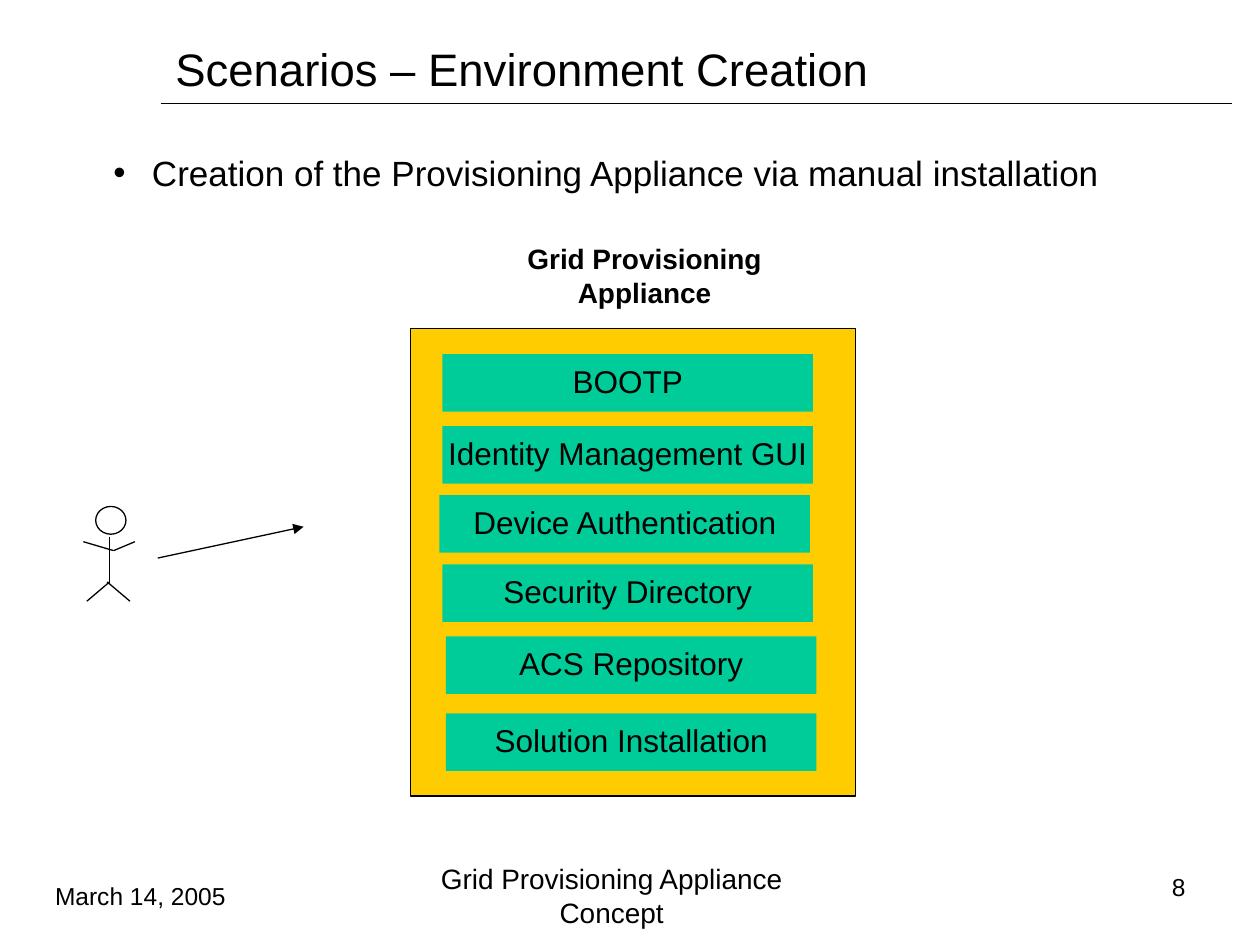
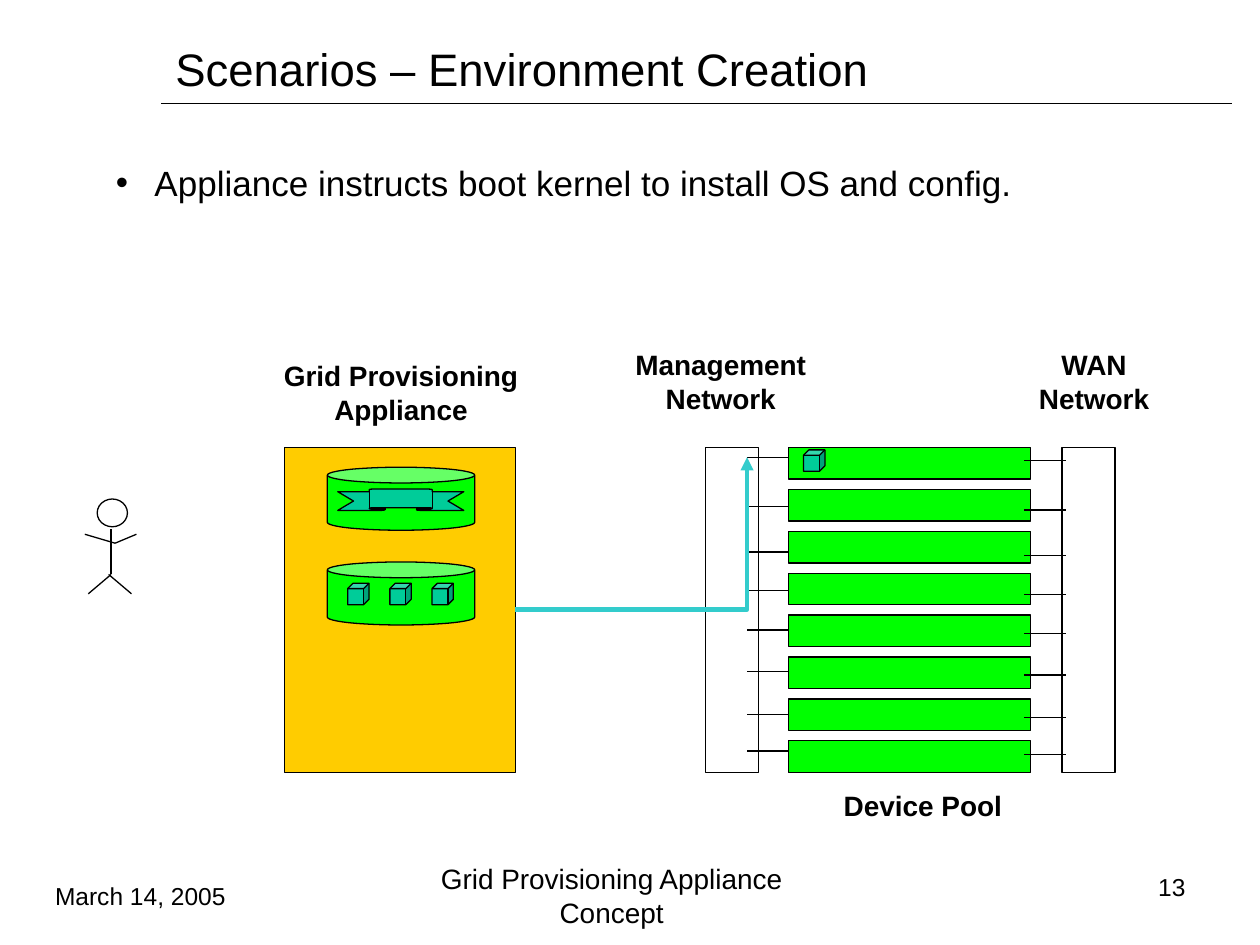
from dataclasses import dataclass

from lxml.etree import SubElement
from pptx import Presentation
from pptx.dml.color import RGBColor
from pptx.enum.shapes import MSO_CONNECTOR, MSO_SHAPE
from pptx.enum.text import MSO_ANCHOR, MSO_AUTO_SIZE, PP_ALIGN
from pptx.oxml.ns import qn
from pptx.util import Cm, Pt

TITLE = "Scenarios – Environment Creation"
DATE = "March 14, 2005"
FOOTER = "Grid Provisioning Appliance Concept"
OWNER = "Grid Provisioning Appliance"

MANUAL = {
    "point": "Creation of the Provisioning Appliance via manual installation",
    "place": (2.03, 2.92),
    "number": "8",
    "person": (1.93, 10.21),
    "labels": [(OWNER, (10.24, 4.75, 5.51, 1.63))],
    "box": (8.28, 6.63, 8.97, 9.42),
    "arrow": ((3.18, 11.25), (6.12, 10.62)),
    "tiles": [
        ("BOOTP", 8.92, 7.14),
        ("Identity Management GUI", 8.92, 8.59),
        ("Device Authentication", 8.86, 9.98),
        ("Security Directory", 8.92, 11.38),
        ("ACS Repository", 8.99, 12.83),
        ("Solution Installation", 8.99, 14.38),
    ],
}

INSTALL = {
    "point": "Appliance instructs boot kernel to install OS and config.",
    "place": (2.08, 3.12),
    "number": "13",
    "person": (1.96, 10.06),
    "labels": [
        (OWNER, (5.33, 7.11, 5.51, 1.63)),
        ("Management Network", (12.09, 6.88, 4.88, 1.63)),
        ("WAN Network", (20.57, 6.88, 2.97, 1.63)),
        ("Device Pool", (16.7, 15.77, 3.81, 0.94)),
    ],
    "box": (5.74, 9.02, 4.65, 6.55),
    "nets": [(14.22, 9.02, 1.07, 6.55), (21.41, 9.02, 1.07, 6.55)],
    "cans": [(6.6, 9.42, 2.97, 1.27), (6.6, 11.33, 2.97, 1.27)],
    "ribbon": (6.81, 9.86, 2.54, 0.43),
    "links": [9.22, 10.21, 11.13, 11.91, 12.7, 13.54, 14.4, 15.14],
    "target": (15.06, 9.22),
}

LIMBS = [
    ((0.28, 0.61), (0.28, 1.52)),
    ((0.36, 0.89), (0.79, 0.71)),
    ((0.36, 0.89), (-0.25, 0.71)),
    ((0.28, 1.52), (-0.18, 1.91)),
    ((0.23, 1.52), (0.69, 1.91)),
]


@dataclass(frozen=True)
class Theme:
    font: str = "Arial"
    ink: str = "000000"
    gold: str = "FFCC00"
    teal: str = "00CC99"
    green: str = "00FF00"
    cyan: str = "33CCCC"
    head: int = 26
    body: int = 20
    tile: int = 18
    label: int = 16
    small: int = 14
    thin: float = 0.75
    thick: float = 2.5


THEME = Theme()


def color(code):
    return RGBColor.from_string(code)


def write(shape, text, size, align=PP_ALIGN.LEFT, bold=False,
          anchor=MSO_ANCHOR.MIDDLE, wrap=True):
    frame = shape.text_frame
    frame.text = text
    frame.word_wrap = wrap
    frame.auto_size = MSO_AUTO_SIZE.NONE
    frame.vertical_anchor = anchor
    line = frame.paragraphs[0]
    line.alignment = align
    line.space_before = Pt(0)
    for run in line.runs:
        run.font.name = THEME.font
        run.font.size = Pt(size)
        run.font.bold = bold
        run.font.color.rgb = color(THEME.ink)
    return line


def place(shape, spot):
    shape.left, shape.top, shape.width, shape.height = map(Cm, spot)


def note(slide, text, spot, size, **style):
    write(slide.shapes.add_textbox(*map(Cm, spot)), text, size, **style)


def draw(shapes, kind, spot, fill=None, edge=True):
    shape = shapes.add_shape(kind, *map(Cm, spot))
    shape.shadow.inherit = False
    if fill:
        shape.fill.solid()
        shape.fill.fore_color.rgb = color(fill)
    else:
        shape.fill.background()
    if edge:
        shape.line.color.rgb = color(THEME.ink)
        shape.line.width = Pt(THEME.thin)
    else:
        shape.line.fill.background()
    return shape


def join(shapes, start, end, kind=MSO_CONNECTOR.STRAIGHT, ink=THEME.ink,
         width=THEME.thin, arrow=False):
    link = shapes.add_connector(kind, *map(Cm, (*start, *end)))
    link.line.color.rgb = color(ink)
    link.line.width = Pt(width)
    props = link._element.spPr
    if arrow:
        SubElement(props.find(qn("a:ln")), qn("a:tailEnd"), type="triangle")
    SubElement(props, qn("a:effectLst"))
    return link


def person(slide, spot):
    left, top = spot
    shapes = slide.shapes.add_group_shape().shapes
    draw(shapes, MSO_SHAPE.OVAL, (left, top, 0.61, 0.56))
    for (ax, ay), (bx, by) in LIMBS:
        join(shapes, (left + ax, top + ay), (left + bx, top + by))


def bullet(slide, text, spot):
    body = slide.placeholders[1]
    place(body, (*spot, 22.43, 1.12))
    line = write(body, text, THEME.body, anchor=MSO_ANCHOR.TOP)
    props = line._p.get_or_add_pPr()
    props.set("marL", str(Cm(0.78)))
    props.set("indent", str(-Cm(0.78)))
    SubElement(props, qn("a:buChar"), char="•")


def start(deck, data):
    slide = deck.slides.add_slide(deck.slide_layouts[1])
    place(slide.shapes.title, (3.28, 0.84, 21.59, 1.07))
    write(slide.shapes.title, TITLE, THEME.head)
    join(slide.shapes, (3.25, 2.08), (24.84, 2.08))
    bullet(slide, data["point"], data["place"])
    person(slide, data["person"])
    for text, spot in data["labels"]:
        note(slide, text, spot, THEME.label, align=PP_ALIGN.CENTER, bold=True,
             anchor=MSO_ANCHOR.TOP)
    note(slide, DATE, (0.86, 17.58, 4.47, 0.94), THEME.small)
    note(slide, FOOTER, (7.72, 17.35, 9.22, 1.4), THEME.label,
         align=PP_ALIGN.CENTER)
    note(slide, data["number"], (21.74, 17.58, 2.41, 0.61), THEME.small,
         align=PP_ALIGN.RIGHT)
    box = draw(slide.shapes, MSO_SHAPE.RECTANGLE, data["box"], THEME.gold)
    return slide.shapes, box


def manual(deck, data):
    shapes, box = start(deck, data)
    join(shapes, *data["arrow"], arrow=True)
    for text, left, top in data["tiles"]:
        tile = draw(shapes, MSO_SHAPE.RECTANGLE, (left, top, 7.47, 1.16),
                    THEME.teal, edge=False)
        line = write(tile, text, THEME.tile, PP_ALIGN.CENTER, wrap=False)
        line.line_spacing = 0.9


def install(deck, data):
    shapes, box = start(deck, data)
    for spot in data["cans"]:
        draw(shapes, MSO_SHAPE.CAN, spot, THEME.green)
    ribbon = draw(shapes, MSO_SHAPE.UP_RIBBON, data["ribbon"], THEME.teal)
    ribbon.adjustments[0] = 0.125
    ribbon.adjustments[1] = 0.5
    for row in range(len(data["links"])):
        draw(shapes, MSO_SHAPE.RECTANGLE,
             (15.9, 9.02 + row * 0.845, 4.88, 0.64), THEME.green)
    cubes = [(7.01 + step * 0.85, 11.76) for step in range(3)]
    for spot in cubes + [(16.2, 9.07)]:
        draw(shapes, MSO_SHAPE.CUBE, (*spot, 0.43, 0.43), THEME.teal)
    nets = [draw(shapes, MSO_SHAPE.RECTANGLE, spot) for spot in data["nets"]]
    for top in data["links"]:
        join(shapes, (15.9, top), (15.06, top))
        join(shapes, (21.49, top + 0.07), (20.65, top + 0.07))
    port = (10.39, 12.29)
    wire = join(shapes, port, (14.22, 12.29))
    wire.begin_connect(box, 3)
    wire.end_connect(nets[0], 1)
    bend = join(shapes, port, data["target"], MSO_CONNECTOR.ELBOW,
                THEME.cyan, THEME.thick, arrow=True)
    bend._element.spPr.find(qn("a:prstGeom")).set("prst", "bentConnector2")


def main():
    deck = Presentation()
    deck.slide_width, deck.slide_height = Cm(25.4), Cm(19.05)
    manual(deck, MANUAL)
    install(deck, INSTALL)
    deck.save("out.pptx")


if __name__ == "__main__":
    main()
